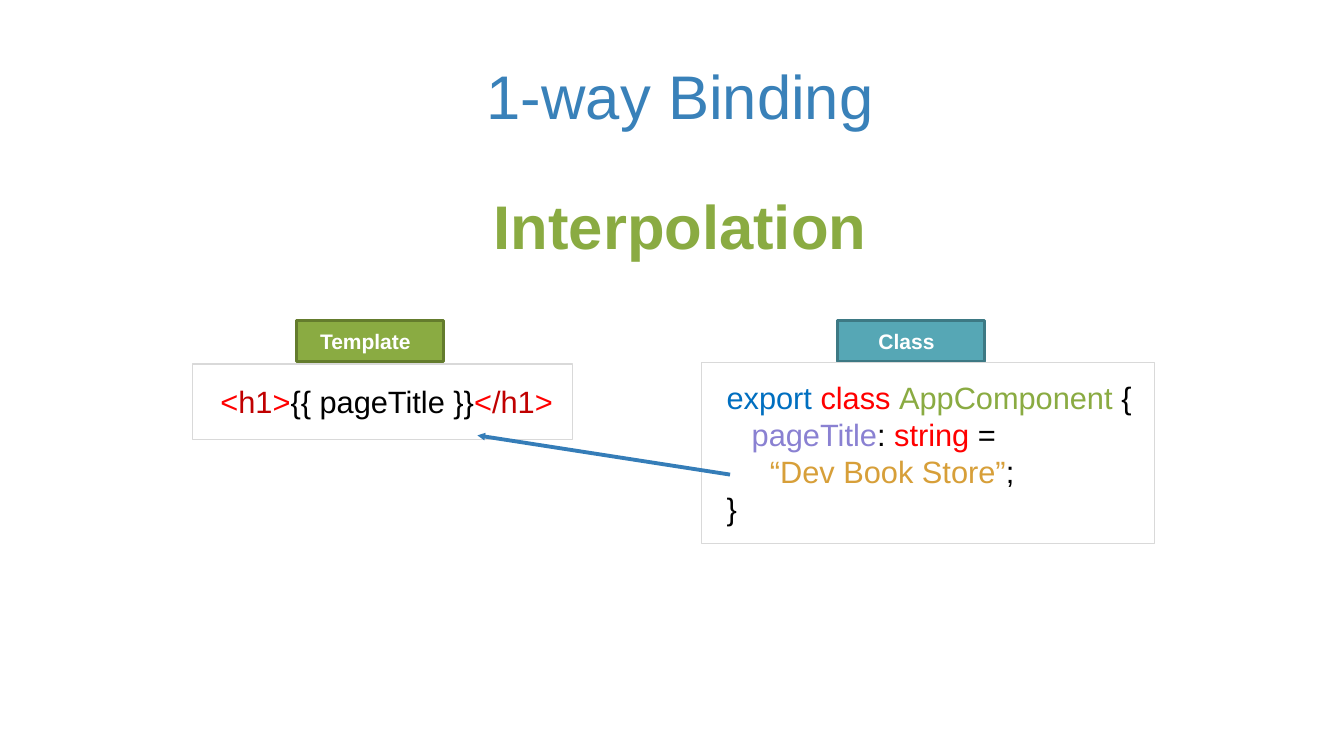
from dataclasses import dataclass

from lxml import etree
from pptx import Presentation
from pptx.dml.color import RGBColor
from pptx.enum.shapes import MSO_CONNECTOR, MSO_SHAPE
from pptx.enum.text import MSO_ANCHOR, PP_ALIGN
from pptx.oxml.ns import qn
from pptx.util import Pt

RECTANGLE = MSO_SHAPE.RECTANGLE
STRAIGHT = MSO_CONNECTOR.STRAIGHT
TOP, MIDDLE = MSO_ANCHOR.TOP, MSO_ANCHOR.MIDDLE
LEFT, CENTER = PP_ALIGN.LEFT, PP_ALIGN.CENTER


@dataclass(frozen=True)
class Theme:
    font: str = "Arial"
    heading_size: float = 44
    code_size: float = 22
    tag_size: float = 15
    code_pitch: float = 26.4
    title: str = "3981B9"
    green: str = "8AAB42"
    green_edge: str = "647C2D"
    teal: str = "56A7B5"
    teal_edge: str = "3D7984"
    white: str = "FFFFFF"
    black: str = "000000"
    panel_edge: str = "D9D9D9"
    arrow: str = "357DB8"
    keyword: str = "006FC0"
    red: str = "FF0000"
    element: str = "C00000"
    member: str = "8A81D2"
    literal: str = "D79F39"


def points(lengths):
    return [Pt(length) for length in lengths]


class SlideBuilder:
    def __init__(self, slide, theme):
        self.slide = slide
        self.theme = theme

    def frame(self, shape, insets, anchor, wrap=True):
        """Set insets (left, top, right, bottom) and anchor of the text."""
        frame = shape.text_frame
        frame.word_wrap = wrap
        frame.vertical_anchor = anchor
        (frame.margin_left, frame.margin_top,
         frame.margin_right, frame.margin_bottom) = points(insets)
        return frame

    def style(self, run, size, color, bold=False):
        run.font.name = self.theme.font
        run.font.size = Pt(size)
        run.font.bold = bold
        run.font.color.rgb = RGBColor.from_string(color)

    def label(self, frame, text, size, color, bold):
        frame.text = text
        paragraph = frame.paragraphs[0]
        paragraph.alignment = CENTER
        self.style(paragraph.runs[0], size, color, bold)

    def title(self, text, box):
        title = self.slide.shapes.title
        title.left, title.top, title.width, title.height = points(box)
        frame = self.frame(title, (0, 2, 0, 0), TOP)
        self.label(frame, text, self.theme.heading_size, self.theme.title, False)

    def subtitle(self, text, box):
        subtitle = self.slide.shapes.add_textbox(*points(box))
        frame = self.frame(subtitle, (0, 2, 0, 0), TOP)
        self.label(frame, text, self.theme.heading_size, self.theme.green, True)

    def rectangle(self, box, edge, edge_width, fill=None):
        shape = self.slide.shapes.add_shape(RECTANGLE, *points(box))
        shape.shadow.inherit = False
        if fill:
            shape.fill.solid()
            shape.fill.fore_color.rgb = RGBColor.from_string(fill)
        else:
            shape.fill.background()
        shape.line.color.rgb = RGBColor.from_string(edge)
        shape.line.width = Pt(edge_width)
        return shape

    def tag(self, text, box, fill, edge):
        tag = self.rectangle(box, edge, 2, fill)
        frame = self.frame(tag, (0, 0, 7, 0), MIDDLE)
        self.label(frame, text, self.theme.tag_size, self.theme.white, True)

    def code_panel(self, box, insets, lines):
        """Draw a panel of code; each line is (indent, [(text, color), ...])."""
        panel = self.rectangle(box, self.theme.panel_edge, 0.75)
        frame = self.frame(panel, insets, TOP, wrap=False)
        for number, (indent, tokens) in enumerate(lines):
            paragraph = frame.add_paragraph() if number else frame.paragraphs[0]
            paragraph.alignment = LEFT
            paragraph.line_spacing = Pt(self.theme.code_pitch)
            # python-pptx has no paragraph indent property
            paragraph._p.get_or_add_pPr().set("marL", str(Pt(indent)))
            for text, color in tokens:
                run = paragraph.add_run()
                run.text = text
                self.style(run, self.theme.code_size, color)

    def arrow(self, start, end):
        arrow = self.slide.shapes.add_connector(STRAIGHT, *points(start + end))
        arrow.line.color.rgb = RGBColor.from_string(self.theme.arrow)
        arrow.line.width = Pt(2.75)
        line = arrow.line._get_or_add_ln()
        etree.SubElement(line, qn("a:tailEnd"), type="triangle", w="sm", len="sm")
        etree.SubElement(arrow._element.spPr, qn("a:effectLst"))


def main():
    presentation = Presentation()
    presentation.slide_width, presentation.slide_height = Pt(960), Pt(540)
    slide = presentation.slides.add_slide(presentation.slide_layouts[5])
    theme = Theme()
    builder = SlideBuilder(slide, theme)

    builder.title("1-way Binding", (334, 39, 304, 55))
    builder.subtitle("Interpolation", (334, 132, 304, 55))

    tag_top, tag_width, tag_height = 229, 105, 29.5
    builder.tag("Template", (212, tag_top, tag_width, tag_height),
                theme.green, theme.green_edge)
    builder.tag("Class", (598.5, tag_top, tag_width, tag_height),
                theme.teal, theme.teal_edge)

    builder.code_panel((137.5, 260, 271.5, 54), (20, 13.5, 0, 0), [
        (0, [("<", theme.red), ("h1", theme.element), (">", theme.red),
             ("{{ pageTitle }}", theme.black),
             ("<", theme.red), ("/h1", theme.element), (">", theme.red)]),
    ])
    builder.code_panel((501, 259, 324, 129.5), (18, 11.5, 0, 0), [
        (0, [("export ", theme.keyword), ("class ", theme.red),
             ("AppComponent ", theme.green), ("{", theme.black)]),
        (18, [("pageTitle", theme.member), (": ", theme.black),
              ("string ", theme.red), ("=", theme.black)]),
        (31, [("“Dev Book Store”", theme.literal), (";", theme.black)]),
        (0, [("}", theme.black)]),
    ])
    builder.arrow((521.5, 339), (341, 311))

    presentation.save("out.pptx")


if __name__ == "__main__":
    main()
